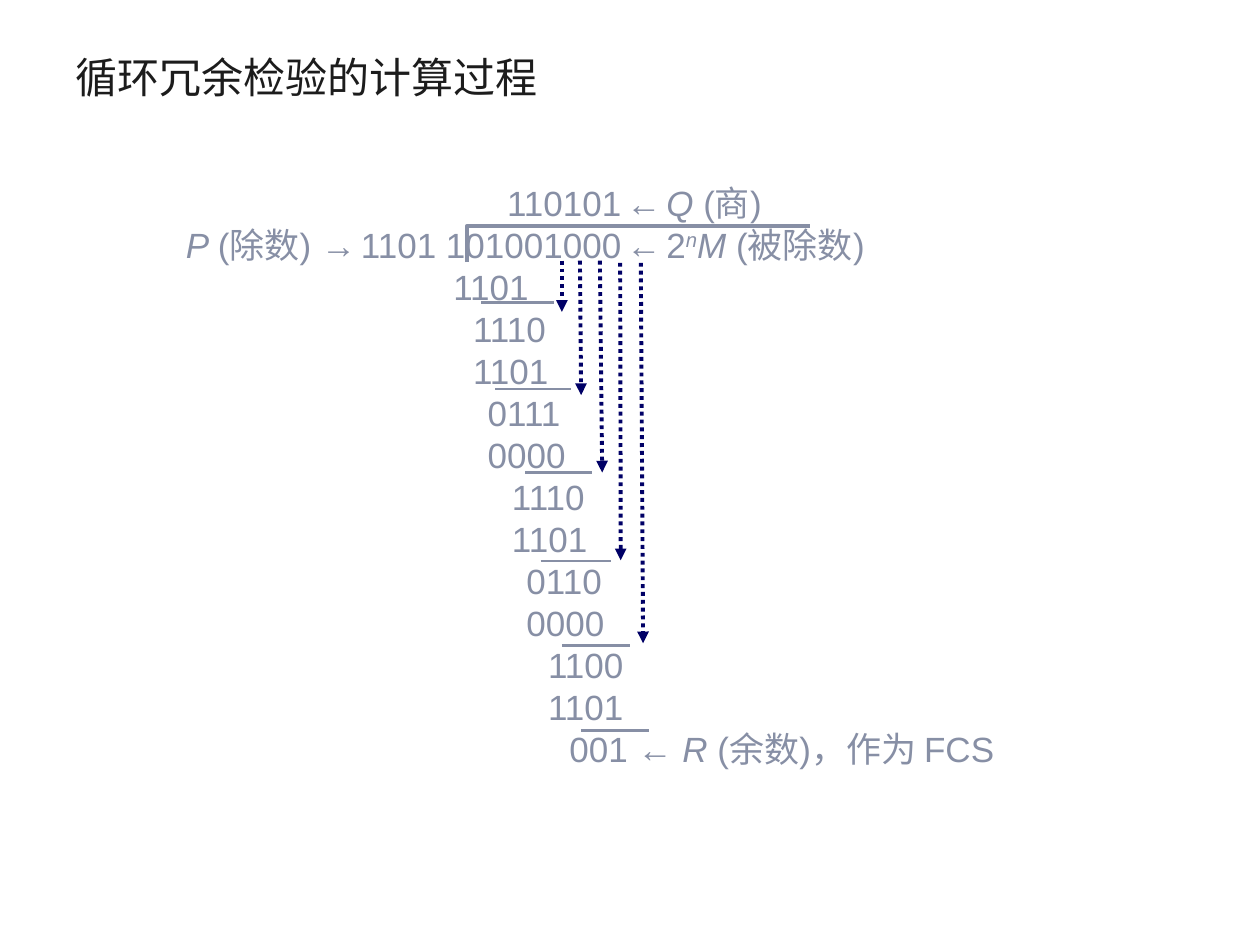
from dataclasses import dataclass

from lxml.etree import SubElement
from pptx import Presentation
from pptx.dml.color import RGBColor
from pptx.enum.dml import MSO_LINE
from pptx.enum.shapes import MSO_CONNECTOR
from pptx.enum.text import MSO_ANCHOR
from pptx.oxml.ns import qn
from pptx.util import Pt


@dataclass(frozen=True)
class Theme:
    title_color: RGBColor = RGBColor(0x1C, 0x1C, 0x1C)
    muted: RGBColor = RGBColor(0x87, 0x8F, 0xA5)
    arrow: RGBColor = RGBColor(0x00, 0x00, 0x66)
    latin: str = "Arial"
    chinese: str = "Noto Sans CJK SC"
    title_size: Pt = Pt(24)
    body_size: Pt = Pt(20)
    gap_size: Pt = Pt(10)
    row_height: Pt = Pt(24)
    thick: Pt = Pt(2.25)
    thin: Pt = Pt(1.5)


THEME = Theme()
GAP = (" ", "gap")

QUOTIENT = (205.7, [("110101", ""), GAP, ("←", ""), GAP, ("Q ", "italic"), ("(商)", "")])
DIVIDEND = (22.2, [
    ("P ", "italic"), ("(除数) ", ""), ("→", "bold"), GAP, ("1101 101001000", ""), GAP,
    ("←", ""), GAP, ("2", ""), ("n", "power"), ("M ", "italic"), ("(被除数)", ""),
])
STEPS = [
    (175, ["1101"]),
    (186.3, ["1110", "1101"]),
    (194.6, ["0111", "0000"]),
    (208.5, ["1110", "1101"]),
    (216.8, ["0110", "0000"]),
    (229.1, ["1100", "1101"]),
]
REMAINDER = (241.3, [("001 ← ", ""), ("R", "italic"), (" (余数)，作为 FCS", "")])

BRING_DOWNS = [
    (321.1, 149, 321.1, 178.2),
    (331.4, 149, 332.1, 225.8),
    (342.8, 149, 344.1, 270),
    (354.4, 150.2, 354.7, 320.2),
    (366.2, 150.2, 367.5, 367.6),
]
SUBTRACTIONS = [
    (275, 316.8, 172.8),
    (283, 326.2, 222.2),
    (300.2, 338.4, 270),
    (308.9, 349.2, 320.6),
    (321.1, 360, 368.8),
    (331.9, 370.8, 417.6),
]


def set_font(para, size, color, latin):
    font = para.font
    font.size, font.name = size, latin
    font.color.rgb = color
    properties = para._p.pPr.find(qn("a:defRPr"))
    SubElement(properties, qn("a:ea")).set("typeface", THEME.chinese)


def add_box(page, left, top, width, height):
    box = page.shapes.add_textbox(Pt(left), Pt(top), Pt(width), Pt(height))
    box.text_frame.word_wrap = True
    return box.text_frame


def add_title(page, text):
    frame = add_box(page, 36, 21.6, 648, 44)
    frame.vertical_anchor = MSO_ANCHOR.MIDDLE
    para = frame.paragraphs[0]
    para.text = text
    set_font(para, THEME.title_size, THEME.title_color, THEME.chinese)


def add_span(para, text, style):
    span = para.add_run()
    span.text = text
    if style == "gap":
        span.font.size = THEME.gap_size
    if style == "bold":
        span.font.bold = True
    if style in ("italic", "power"):
        span.font.italic = True
    if style == "power":
        span.font._element.set("baseline", "30000")


def add_division(page):
    rows = [QUOTIENT, DIVIDEND]
    rows += [(indent, [(digits, "")]) for indent, group in STEPS for digits in group]
    rows.append(REMAINDER)
    frame = add_box(page, 77, 100.1, 643, 343.4)
    for index, (indent, spans) in enumerate(rows):
        para = frame.add_paragraph() if index else frame.paragraphs[0]
        para.line_spacing = THEME.row_height
        set_font(para, THEME.body_size, THEME.muted, THEME.latin)
        properties = para._p.get_or_add_pPr()
        properties.set("marL", str(Pt(indent)))
        properties.set("indent", "0")
        for text, style in spans:
            add_span(para, text, style)


def add_bracket(page):
    builder = page.shapes.build_freeform(Pt(267.1), Pt(149.8))
    builder.add_line_segments([(Pt(267.1), Pt(128.9)), (Pt(463), Pt(128.9))], close=False)
    bracket = builder.convert_to_shape()
    bracket.shadow.inherit = False
    bracket.fill.background()
    bracket.line.color.rgb = THEME.muted
    bracket.line.width = THEME.thick


def add_line(page, ends, color, width):
    line = page.shapes.add_connector(MSO_CONNECTOR.STRAIGHT, *map(Pt, ends))
    line.line.color.rgb = color
    line.line.width = width
    SubElement(line._element.spPr, qn("a:effectLst"))
    return line


def add_arrow(page, ends):
    arrow = add_line(page, ends, THEME.arrow, THEME.thick)
    arrow.line.dash_style = MSO_LINE.ROUND_DOT
    SubElement(arrow.line._get_or_add_ln(), qn("a:tailEnd")).set("type", "triangle")


def main():
    deck = Presentation()
    deck.slide_width, deck.slide_height = Pt(720), Pt(540)
    page = deck.slides.add_slide(deck.slide_layouts[6])
    add_title(page, "循环冗余检验的计算过程")
    add_division(page)
    add_bracket(page)
    for ends in BRING_DOWNS:
        add_arrow(page, ends)
    for left, right, height in SUBTRACTIONS:
        add_line(page, (left, height, right, height), THEME.muted, THEME.thin)
    deck.save("out.pptx")


if __name__ == "__main__":
    main()
